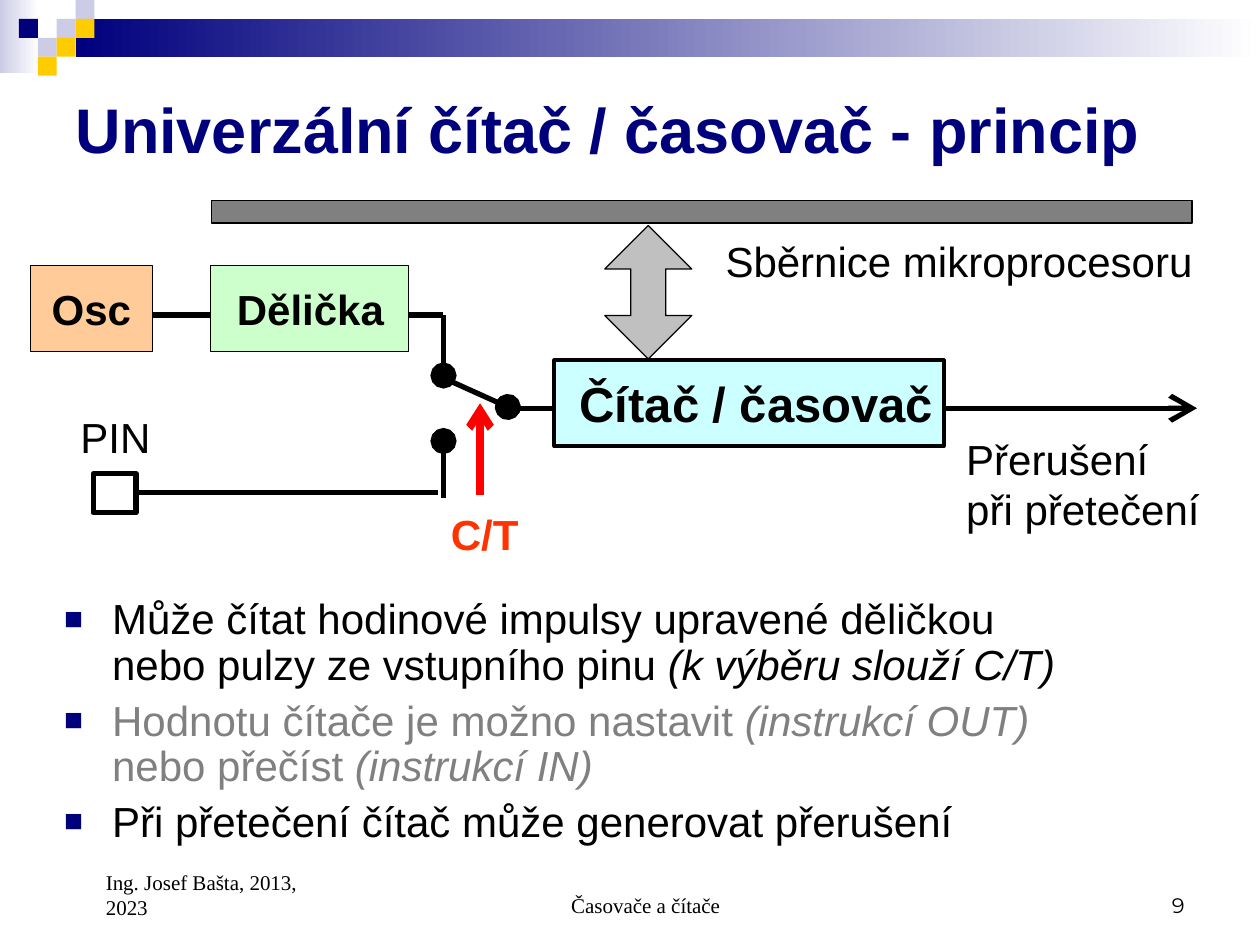
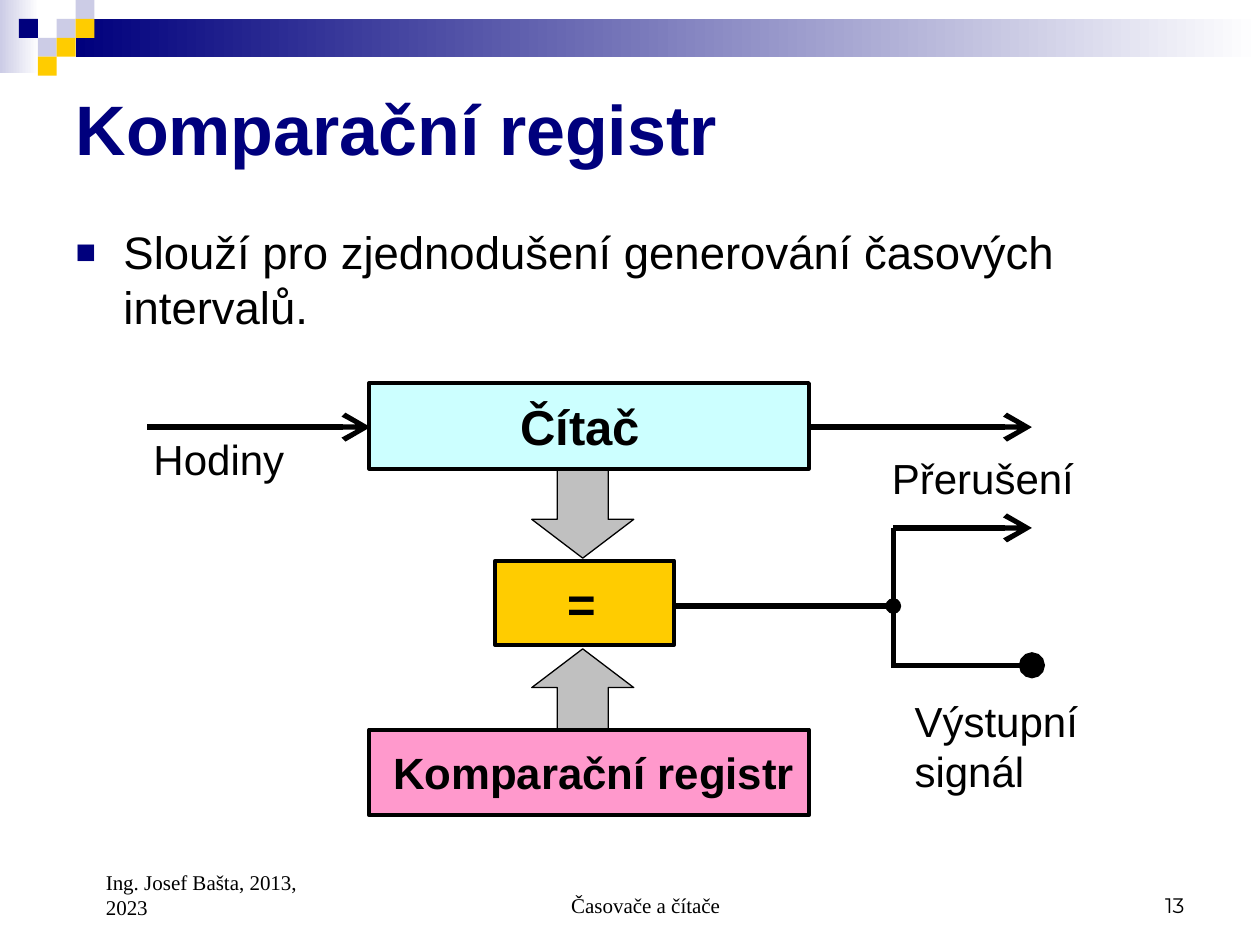
from lxml import etree
from pptx import Presentation
from pptx.dml.color import RGBColor
from pptx.enum.shapes import MSO_CONNECTOR, MSO_SHAPE
from pptx.enum.text import MSO_ANCHOR, MSO_AUTO_SIZE, PP_ALIGN
from pptx.oxml.ns import qn
from pptx.util import Inches, Pt

COLORS = {
    "navy": "00007D", "lavender": "CCCCE6", "yellow": "FFCC00",
    "white": "FFFFFF", "black": "000000", "gray": "808080",
    "silver": "C0C0C0", "cyan": "CCFFFF", "green": "CCFFCC",
    "peach": "FFCC99", "pink": "FF99CC", "red": "FF0000", "orange": "FF3300",
}
SQUARE = 0.15
# Column, row and colour of each square in the corner
CORNER_SQUARES = [
    (3, 1, "lavender"), (4, 0, "lavender"), (4, 1, "yellow"), (2, 2, "lavender"),
    (1, 1, "navy"), (3, 2, "yellow"), (2, 3, "yellow"),
]
# Text, box, alignment, left margin and font of each footer part
FOOTER_TOP = 6.83
AUTHOR = "Ing. Josef Bašta, 2013, 2023"
TOPIC = "Časovače a čítače"
FRAME_FORMAT = {
    "word_wrap": True, "auto_size": MSO_AUTO_SIZE.NONE,
    "margin_left": Inches(0.1), "margin_right": Inches(0.1),
    "margin_top": Inches(0.05), "margin_bottom": Inches(0.05),
}


def rgb(color):
    return RGBColor.from_string(COLORS[color])


def set_format(target, values):
    for name, value in values.items():
        setattr(target, name, value)


def set_font(font, size, color="black", bold=False, italic=False, name="Arial"):
    set_format(font, {"name": name, "size": Pt(size), "bold": bold, "italic": italic})
    font.color.rgb = rgb(color)


def place(shape, box):
    names = ("left", "top", "width", "height")
    set_format(shape, dict(zip(names, map(Inches, box))))


def write(shape, text, size, align=PP_ALIGN.LEFT, anchor=MSO_ANCHOR.TOP,
          margin=0.1, **font):
    frame = shape.text_frame
    set_format(frame, FRAME_FORMAT | {"vertical_anchor": anchor,
                                      "margin_left": Inches(margin)})
    paragraph = frame.paragraphs[0]
    paragraph.alignment = align
    run = paragraph.add_run()
    run.text = text
    set_font(run.font, size, **font)


def add_label(slide, text, box, size=24, **style):
    label = slide.shapes.add_textbox(*map(Inches, box))
    write(label, text, size, **style)


def add_figure(slide, kind, box, fill, line_width=None, adjust=()):
    figure = slide.shapes.add_shape(kind, *map(Inches, box))
    figure.shadow.inherit = False
    figure.fill.solid()
    figure.fill.fore_color.rgb = rgb(fill)
    for index, value in enumerate(adjust):
        figure.adjustments[index] = value
    if line_width:
        figure.line.color.rgb = rgb("black")
        figure.line.width = Pt(line_width)
    else:
        figure.line.fill.background()
    return figure


def add_block(slide, text, box, fill, size, margin, line_width=2.25):
    block = add_figure(slide, MSO_SHAPE.RECTANGLE, box, fill, line_width)
    write(block, text, size, anchor=MSO_ANCHOR.MIDDLE, margin=margin, bold=True)
    block.text_frame.margin_right = 0


def add_wire(slide, start, end, tip=None, tip_size="lg", color="black", width=3):
    wire = slide.shapes.add_connector(
        MSO_CONNECTOR.STRAIGHT, *map(Inches, (*start, *end)))
    wire.line.color.rgb = rgb(color)
    wire.line.width = Pt(width)
    if tip:
        etree.SubElement(wire.line._get_or_add_ln(), qn("a:tailEnd"),
                         type=tip, w=tip_size, len=tip_size)
    etree.SubElement(wire._element.spPr, qn("a:effectLst"))


def add_gradient(slide, box, color):
    band = add_figure(slide, MSO_SHAPE.RECTANGLE, box, color)
    band.fill.gradient()
    band.fill.gradient_angle = 0
    for stop, stop_color in zip(band.fill.gradient_stops, (color, "white")):
        stop.color.rgb = rgb(stop_color)


def add_bullet(paragraph):
    properties = paragraph._p.get_or_add_pPr()
    properties.set("marL", str(Inches(0.38)))
    properties.set("indent", str(Inches(-0.38)))
    bullet_color = etree.SubElement(properties, qn("a:buClr"))
    etree.SubElement(bullet_color, qn("a:srgbClr"), val=COLORS["navy"])
    etree.SubElement(properties, qn("a:buSzPct"), val="75000")
    etree.SubElement(properties, qn("a:buFont"), typeface="Arial")
    etree.SubElement(properties, qn("a:buChar"), char="■")


def fill_list(slide, box, items, size, line_spacing):
    """Each item is a colour and its (text, italic) parts; \\n breaks the line."""
    body = slide.placeholders[1]
    place(body, box)
    frame = body.text_frame
    set_format(frame, FRAME_FORMAT)
    for index, (color, parts) in enumerate(items):
        paragraph = frame.add_paragraph() if index else frame.paragraphs[0]
        add_bullet(paragraph)
        set_format(paragraph, {"line_spacing": line_spacing,
                               "space_before": Pt(6 if index else 0)})
        for text, italic in parts:
            for number, piece in enumerate(text.split("\n")):
                if number:
                    paragraph.add_line_break()
                if piece:
                    run = paragraph.add_run()
                    run.text = piece
                    set_font(run.font, size, color, italic=italic)


def start_slide(deck, title, title_size, number):
    slide = deck.slides.add_slide(deck.slide_layouts[1])
    # Top band and corner squares
    add_gradient(slide, (0, 0, 0.31, 0.58), "lavender")
    add_gradient(slide, (0.6, 0.15, 9.4, 0.3), "navy")
    for column, row, color in CORNER_SQUARES:
        add_figure(slide, MSO_SHAPE.RECTANGLE,
                   (column * SQUARE, row * SQUARE, SQUARE, SQUARE), color)
    # Title
    place(slide.shapes.title, (0.5, 0.5, 9, 1.03))
    write(slide.shapes.title, title, title_size, anchor=MSO_ANCHOR.MIDDLE,
          color="navy", bold=True)
    # Footer
    serif = "Times New Roman"
    for text, left, width, height, align, margin, font in (
            (TOPIC, 3.42, 3.17, 0.5, PP_ALIGN.CENTER, 0.34, serif),
            (number, 7.17, 2.33, 0.5, PP_ALIGN.RIGHT, 0.1, "Montserrat"),
            (AUTHOR, 0.5, 2.33, 0.52, PP_ALIGN.LEFT, 0.34, serif)):
        add_label(slide, text, (left, FOOTER_TOP, width, height), 12, align=align,
                  anchor=MSO_ANCHOR.BOTTOM, margin=margin, name=font)
    return slide


def build_counter_slide(deck):
    slide = start_slide(deck, "Univerzální čítač / časovač - princip", 36, "9")
    fill_list(slide, (0.41, 4.7, 9.09, 2.16), [
        ("black", [("Může čítat hodinové impulsy upravené děličkou\n"
                    "nebo pulzy ze vstupního pinu ", False),
                   ("(k výběru slouží C/T)", True)]),
        ("gray", [("Hodnotu čítače je možno nastavit ", False),
                  ("(instrukcí OUT)\n", True),
                  ("nebo přečíst ", False), ("(instrukcí IN)", True)]),
        ("black", [("Při přetečení čítač může generovat přerušení", False)]),
    ], 24, 0.9)

    # Signal paths and the C/T switch
    switch_x = 3.52
    add_wire(slide, (1.19, 2.5), (switch_x, 2.5))
    add_wire(slide, (switch_x, 2.5), (switch_x, 2.98), "oval")
    add_wire(slide, (switch_x, 3), (4.03, 3.23), "oval")
    add_wire(slide, (4.02, 3.24), (9.5, 3.24), "arrow")
    add_wire(slide, (1.1, 3.91), (3.48, 3.91))
    add_wire(slide, (switch_x, 3.95), (switch_x, 3.5), "oval")
    add_wire(slide, (3.81, 3.93), (3.81, 3.2), "arrow", "med", "red", 4.5)

    # Bus and blocks
    add_figure(slide, MSO_SHAPE.RECTANGLE, (1.68, 1.59, 7.78, 0.18), "gray", 0.75)
    add_figure(slide, MSO_SHAPE.UP_DOWN_ARROW, (4.8, 1.79, 0.69, 1.06),
               "silver", 0.75, (0.5, 0.4))
    add_figure(slide, MSO_SHAPE.RECTANGLE, (0.74, 3.76, 0.34, 0.31), "white", 3)
    add_block(slide, "Osc", (0.24, 2.11, 0.97, 0.68), "peach", 24, 0.17, 0.75)
    add_block(slide, "Dělička", (1.67, 2.11, 1.57, 0.68), "green", 24, 0.21, 0.75)
    add_block(slide, "Čítač / časovač", (4.4, 2.86, 3.09, 0.68), "cyan", 28, 0.2)

    # Labels
    add_label(slide, "PIN", (0.54, 3.22, 0.85, 0.5))
    add_label(slide, "C/T", (3.48, 3.99, 0.85, 0.5), color="orange", bold=True)
    add_label(slide, "Sběrnice mikroprocesoru", (5.66, 1.82, 4.08, 0.5))
    add_label(slide, "Přerušení při přetečení", (7.57, 3.39, 2.09, 0.9))


def build_compare_slide(deck):
    slide = start_slide(deck, "Komparační registr", 40, "13")
    fill_list(slide, (0.5, 1.73, 9, 1.09), [
        ("black", [("Slouží pro zjednodušení generování časových intervalů.", False)]),
    ], 26, 1.0)

    # Both values flow into the comparator
    for kind, top in ((MSO_SHAPE.DOWN_ARROW, 3.2), (MSO_SHAPE.UP_ARROW, 5.15)):
        add_figure(slide, kind, (4.22, top, 0.81, 1.23), "silver", 0.75, (0.5, 0.38))

    # Clock, interrupt and output paths
    branch_x, output_x = 7.09, 8.19
    add_wire(slide, (1.17, 3.39), (2.94, 3.39), "arrow")
    add_wire(slide, (6.41, 3.39), (output_x, 3.39), "arrow")
    add_wire(slide, (branch_x, 4.19), (output_x, 4.19), "arrow")
    add_wire(slide, (5.22, 4.81), (branch_x, 4.81), "oval", "med")
    add_wire(slide, (branch_x, 4.19), (branch_x, 5.3))
    add_wire(slide, (branch_x, 5.28), (output_x, 5.28), "oval")

    # Blocks
    add_block(slide, "Čítač", (2.93, 3.04, 3.49, 0.68), "cyan", 28, 1.2)
    add_block(slide, "=", (3.93, 4.45, 1.42, 0.67), "yellow", 28, 0.57)
    add_block(slide, "Komparační registr", (2.93, 5.79, 3.49, 0.68), "pink", 25, 0.19)

    # Labels
    add_label(slide, "Hodiny", (1.12, 3.39, 1.44, 0.5))
    add_label(slide, "Přerušení", (6.98, 3.54, 1.77, 0.5))
    add_label(slide, "Výstupní signál", (7.16, 5.47, 1.55, 0.9))


def main():
    deck = Presentation()
    set_format(deck, {"slide_width": Inches(10), "slide_height": Inches(7.5)})
    build_counter_slide(deck)
    build_compare_slide(deck)
    deck.save("out.pptx")


if __name__ == "__main__":
    main()
